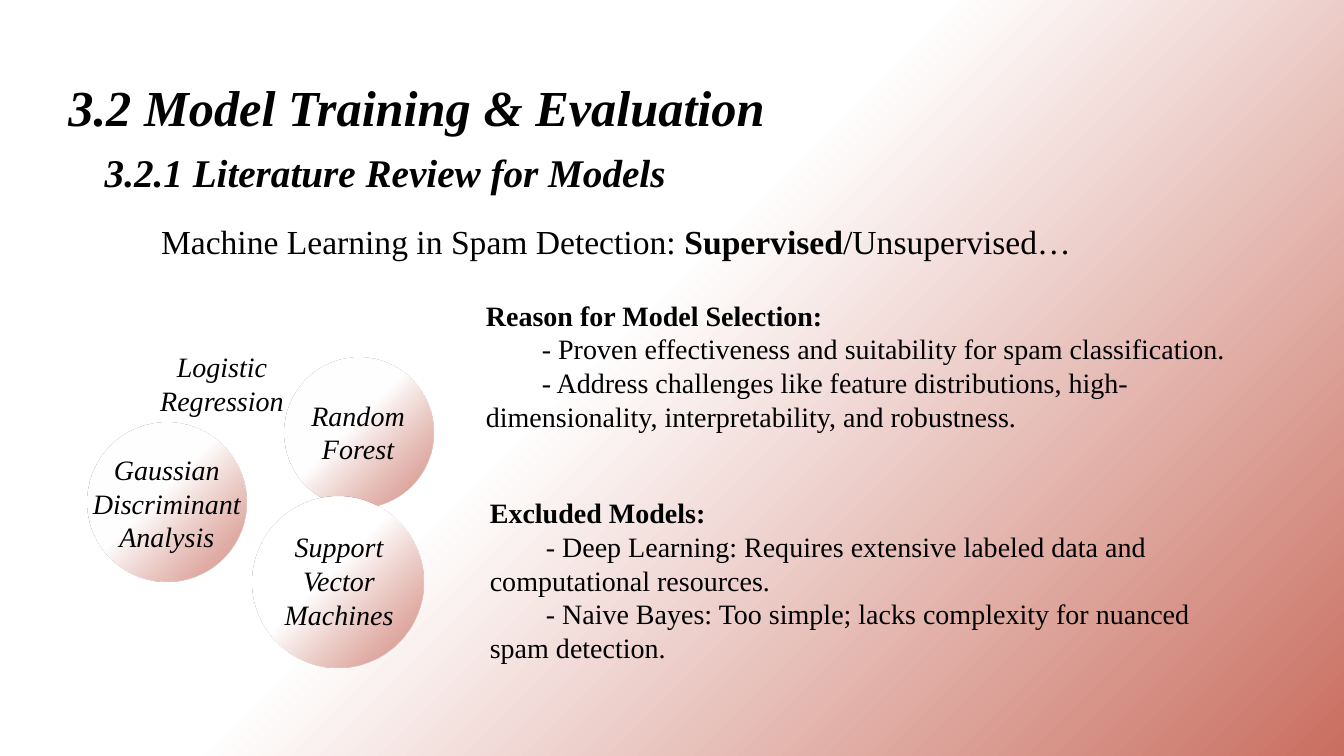
from lxml import etree
from pptx import Presentation
from pptx.dml.color import RGBColor
from pptx.enum.shapes import MSO_SHAPE
from pptx.enum.text import MSO_ANCHOR, MSO_AUTO_SIZE, PP_ALIGN
from pptx.oxml import parse_xml
from pptx.oxml.ns import nsdecls, qn
from pptx.util import Cm, Pt

COLORS = {"text": "000000", "white": "FFFFFF", "red": "C96E60"}
FONT = "Times New Roman"


def apply_gradient(fill, element):
    """Give the filled element a white-to-red gradient from its top left corner."""
    fill.solid()
    solid = element.find(".//" + qn("a:solidFill"))
    gradient = parse_xml(
        f'<a:gradFill {nsdecls("a")} rotWithShape="1"><a:gsLst>'
        f'<a:gs pos="45000"><a:srgbClr val="{COLORS["white"]}"/></a:gs>'
        f'<a:gs pos="100000"><a:srgbClr val="{COLORS["red"]}">'
        '<a:alpha val="75000"/></a:srgbClr></a:gs></a:gsLst>'
        '<a:path path="circle"><a:fillToRect r="100000" b="100000"/></a:path>'
        '</a:gradFill>')
    solid.getparent().replace(solid, gradient)


def write_text(shape, box, lines, size, bold=False, italic=False, align=PP_ALIGN.LEFT):
    """Place the shape and fill it with one paragraph per line."""
    shape.left, shape.top, shape.width, shape.height = [Cm(value) for value in box]
    frame = shape.text_frame
    frame.word_wrap = True
    frame.auto_size = MSO_AUTO_SIZE.NONE
    frame.vertical_anchor = MSO_ANCHOR.TOP
    frame.text = "\n".join(lines)
    for paragraph in frame.paragraphs:
        paragraph.alignment = align
        paragraph.space_before = Pt(0)
        paragraph.font.name = FONT
        paragraph.font.size = Pt(size)
        paragraph.font.bold = bold
        paragraph.font.italic = italic
        paragraph.font.color.rgb = RGBColor.from_string(COLORS["text"])
    return frame


presentation = Presentation()
presentation.slide_width = Cm(33.87)
presentation.slide_height = Cm(19.05)
slide = presentation.slides.add_slide(presentation.slide_layouts[3])
apply_gradient(slide.background.fill, slide.background._cSld)

# Headings
write_text(slide.shapes.title, (1.47, 1.8, 25.48, 1.8),
           ["3.2 Model Training & Evaluation"], 36, bold=True, italic=True)
subtitle = slide.shapes.add_textbox(0, 0, 0, 0)
write_text(subtitle, (2.39, 3.61, 22.56, 1.45),
           ["3.2.1 Literature Review for Models"], 28, bold=True, italic=True)

# Topic line
topic = slide.shapes.add_textbox(0, 0, 0, 0)
frame = write_text(topic, (3.81, 5.44, 23.65, 1.27),
                   ["Machine Learning in Spam Detection: "], 24)
frame.word_wrap = False
for text, bold in [("Supervised", True), ("/Unsupervised…", False)]:
    run = frame.paragraphs[0].add_run()
    run.text = text
    run.font.bold = bold

# Models: label box, then circle as left, top, diameter
models = [
    (["Logistic Regression"], (3.4, 8.69, 4.39, 1.96), None),
    (["Gaussian", "Discriminant", "Analysis"], (2.01, 11.28, 4.39, 2.82), (2.21, 10.65, 4)),
    (["Random", "Forest"], (6.83, 9.91, 4.39, 1.96), (7.16, 9.01, 3.77)),
    (["Support", "Vector", "Machines"], (6.35, 13.23, 4.39, 2.82), (6.37, 12.52, 4.3)),
]
for lines, label_box, circle_box in models:
    group = slide.shapes.add_group_shape()
    if circle_box:
        left, top, diameter = [Cm(value) for value in circle_box]
        circle = group.shapes.add_shape(MSO_SHAPE.OVAL, left, top, diameter, diameter)
        circle.shadow.inherit = False
        circle.line.fill.background()
        apply_gradient(circle.fill, circle._element)
    label = group.shapes.add_textbox(0, 0, 0, 0)
    write_text(label, label_box, lines, 20, italic=True, align=PP_ALIGN.CENTER)

# Lists: bold heading, then items with an indented first line
lists = [
    (1, (11.99, 7.39, 19.41, 3.68), [
        "Reason for Model Selection:",
        "- Proven effectiveness and suitability for spam classification.",
        "- Address challenges like feature distributions, high-dimensionality, "
        "interpretability, and robustness."]),
    (2, (12.09, 12.37, 19.41, 4.52), [
        "Excluded Models:",
        "- Deep Learning: Requires extensive labeled data and computational resources.",
        "- Naive Bayes: Too simple; lacks complexity for nuanced spam detection."]),
]
for index, box, lines in lists:
    frame = write_text(slide.placeholders[index], box, lines, 20)
    frame.paragraphs[0].font.bold = True
    for number, paragraph in enumerate(frame.paragraphs):
        properties = paragraph._p.get_or_add_pPr()
        properties.set("marL", "0")
        properties.set("indent", str(Cm(1.41) if number else 0))
        bullet = etree.Element(qn("a:buNone"))
        properties.find(qn("a:defRPr")).addprevious(bullet)

presentation.save("out.pptx")
